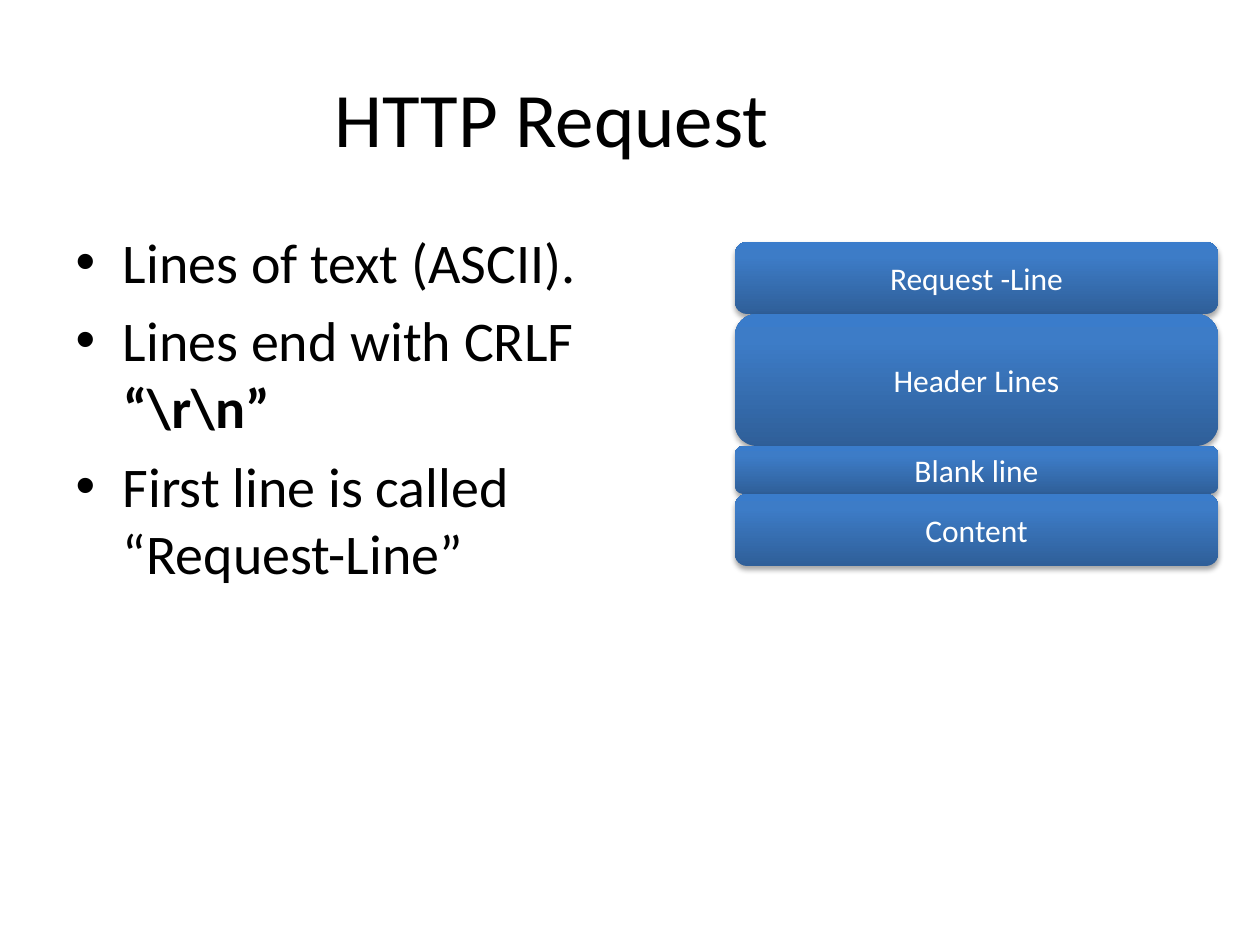
from lxml import etree
from pptx import Presentation, oxml, util as u
from pptx.dml.color import RGBColor
from pptx.enum import shapes, text

PX = 914400 / 126
FONT = "Calibri"
HUES = {"ink": "000000", "paper": "FFFFFF",
        "dark": "2F5F99", "mid": "3D7CC7", "light": "3A7CCB"}
TITLE = "HTTP Request"
LINES = [
    [("Lines of text (ASCII).", False)],
    [("Lines end with CRLF ", False), ("“\\r\\n”", True)],
    [("First line is called “Request-Line”", False)],
]
PARTS = [("Request -Line", 72), ("Header Lines", 132),
         ("Blank line", 48), ("Content", 72)]
STOPS = [(0, "dark"), (80, "mid"), (100, "light")]
LEFT, TOP, WIDTH = 735, 242, 483
NS = 'xmlns:a="http://schemas.openxmlformats.org/drawingml/2006/main"'


def px(n):
    return u.Emu(round(n * PX))


def place(shape, *box):
    shape.left, shape.top, shape.width, shape.height = map(px, box)


def style(para, size, hue):
    para.font.name = FONT
    para.font.size = u.Pt(size)
    para.font.color.rgb = RGBColor.from_string(HUES[hue])


def shade(shape):
    stops = "".join(
        f'<a:gs pos="{at * 1000}"><a:srgbClr val="{HUES[hue]}"/></a:gs>'
        for at, hue in STOPS)
    grad = oxml.parse_xml(
        f'<a:gradFill {NS} rotWithShape="1"><a:gsLst>{stops}</a:gsLst>'
        '<a:lin ang="16200000" scaled="0"/></a:gradFill>')
    glow = oxml.parse_xml(
        f'<a:effectLst {NS}><a:outerShdw blurRad="{u.Pt(3.1)}" '
        f'dist="{u.Pt(1.8)}" dir="5400000" rotWithShape="0">'
        f'<a:srgbClr val="{HUES["ink"]}"><a:alpha val="35000"/></a:srgbClr>'
        '</a:outerShdw></a:effectLst>')
    shape.line.fill.background()
    line = shape.element.spPr.find("{*}ln")
    line.addprevious(grad)
    line.addnext(glow)


def main():
    deck = Presentation()
    deck.slide_width, deck.slide_height = px(1260), px(945)
    slide = deck.slides.add_slide(deck.slide_layouts[1])

    title, body = slide.placeholders
    place(title, 63, 38, 977, 157)
    title.text_frame.text = TITLE
    style(title.text_frame.paragraphs[0], 44, "ink")

    place(body, 63, 221, 630, 472)
    frame = body.text_frame
    for i, runs in enumerate(LINES):
        para = frame.add_paragraph() if i else frame.paragraphs[0]
        style(para, 32, "ink")
        for words, bold in runs:
            run = para.add_run()
            run.text = words
            if bold:
                run.font.bold = True

    stack = slide.shapes.add_group_shape()
    top = TOP
    for label, high in PARTS:
        box = stack.shapes.add_shape(
            shapes.MSO_SHAPE.ROUNDED_RECTANGLE,
            px(LEFT), px(top), px(WIDTH), px(high))
        shade(box)
        box.text_frame.text = label
        box.text_frame.vertical_anchor = text.MSO_ANCHOR.MIDDLE
        para = box.text_frame.paragraphs[0]
        para.alignment = text.PP_ALIGN.CENTER
        style(para, 18, "paper")
        top += high

    deck.save("out.pptx")


if __name__ == "__main__":
    main()
